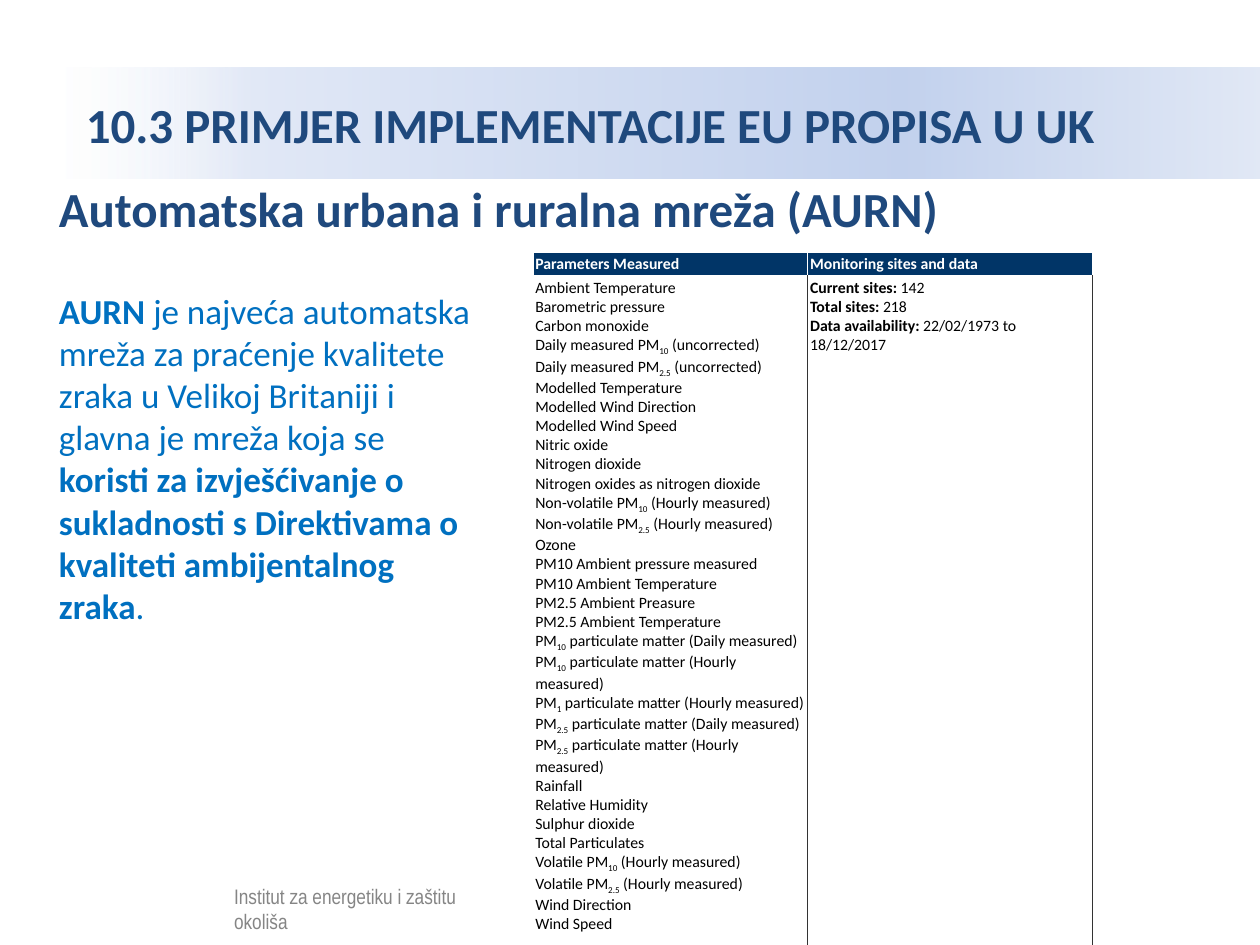
from lxml import etree
from pptx import Presentation
from pptx.dml.color import RGBColor
from pptx.enum.shapes import MSO_SHAPE as Shape
from pptx.enum.text import MSO_ANCHOR as Anchor, PP_ALIGN as Align
from pptx.oxml.ns import qn
from pptx.util import Cm, Pt

NAVY = RGBColor(0x1F, 0x49, 0x7D)
BLUE = RGBColor(0x00, 0x70, 0xC0)
HEADER = RGBColor(0x01, 0x35, 0x67)
BORDER = RGBColor(0x33, 0x33, 0x33)
BLACK = RGBColor(0, 0, 0)
WHITE = RGBColor(0xFF, 0xFF, 0xFF)
BAND_STOPS = [
    (0, WHITE, 52),
    (16, RGBColor(0xE1, 0xE8, 0xF6), 100),
    (70, RGBColor(0xC2, 0xD1, 0xED), 100),
    (100, RGBColor(0xE1, 0xE8, 0xF5), 100),
]

HEADING = {"name": "Calibri", "size": Pt(28), "bold": True, "color": NAVY}
BODY = {"name": "Calibri", "size": Pt(20), "bold": False, "color": BLUE}
FOOTER = {"name": "Arial Narrow", "size": Pt(12), "color": BLACK}
CELL = {"name": "Calibri", "size": Pt(9), "bold": False, "color": BLACK}
CELL_HEAD = {**CELL, "bold": True, "color": WHITE}

TITLE = ["10.3 PRIMJER IMPLEMENTACIJE EU PROPISA U UK"]
SUBTITLE = ["Automatska urbana i ruralna mreža (AURN)"]
INTRO = ["*AURN *je najveća automatska mreža za praćenje kvalitete zraka u Velikoj "
         "Britaniji i glavna je mreža koja se *koristi za izvješćivanje o sukladnosti "
         "s Direktivama o kvaliteti ambijentalnog zraka*."]
INSTITUTE = ["Institut za energetiku i zaštitu okoliša"]
HEADERS = ["Parameters Measured", "Monitoring sites and data"]
PARAMETERS = [
    "Ambient Temperature",
    "Barometric pressure",
    "Carbon monoxide",
    "Daily measured PM_10_ (uncorrected)",
    "Daily measured PM_2.5_ (uncorrected)",
    "Modelled Temperature",
    "Modelled Wind Direction",
    "Modelled Wind Speed",
    "Nitric oxide",
    "Nitrogen dioxide",
    "Nitrogen oxides as nitrogen dioxide",
    "Non-volatile PM_10_ (Hourly measured)",
    "Non-volatile PM_2.5_ (Hourly measured)",
    "Ozone",
    "PM10 Ambient pressure measured",
    "PM10 Ambient Temperature",
    "PM2.5 Ambient Preasure",
    "PM2.5 Ambient Temperature",
    "PM_10_ particulate matter (Daily measured)",
    "PM_10_ particulate matter (Hourly measured)",
    "PM_1_ particulate matter (Hourly measured)",
    "PM_2.5_ particulate matter (Daily measured)",
    "PM_2.5_ particulate matter (Hourly measured)",
    "Rainfall",
    "Relative Humidity",
    "Sulphur dioxide",
    "Total Particulates",
    "Volatile PM_10_ (Hourly measured)",
    "Volatile PM_2.5_ (Hourly measured)",
    "Wind Direction",
    "Wind Speed",
]
SITES = [
    "*Current sites:* 142",
    "*Total sites:* 218",
    "*Data availability:* 22/02/1973 to 18/12/2017",
]


def add_run(paragraph, text, style):
    """Append a run formatted from a dict of font values."""
    run = paragraph.add_run()
    run.text = text
    for key, value in style.items():
        if key == "color":
            run.font.color.rgb = value
        else:
            setattr(run.font, key, value)
    return run


def write_text(frame, lines, style):
    """Write lines in which *stars* mark bold and _underscores_ mark subscript."""
    paragraph = frame.paragraphs[0]
    paragraph.alignment = Align.LEFT
    for number, line in enumerate(lines):
        if number:
            paragraph.add_line_break()
        for strong, part in enumerate(line.split("*")):
            weight = {"bold": True} if strong % 2 else {}
            for lowered, piece in enumerate(part.split("_")):
                if piece:
                    run = add_run(paragraph, piece, {**style, **weight})
                    if lowered % 2:
                        run.font._element.set("baseline", "-25000")


def add_color(parent, color, opacity):
    """Append a colour with an opacity in percent."""
    element = etree.SubElement(parent, qn("a:srgbClr"), val=str(color))
    if opacity < 100:
        etree.SubElement(element, qn("a:alpha"), val=str(opacity * 1000))


def add_rectangle(shapes, box):
    """Add a rectangle without line or shadow."""
    shape = shapes.add_shape(Shape.RECTANGLE, *box)
    shape.shadow.inherit = False
    shape.line.fill.background()
    return shape


def add_text(shapes, box, lines, style):
    """Add a wrapping text box."""
    frame = shapes.add_textbox(*box).text_frame
    frame.word_wrap = True
    write_text(frame, lines, style)


def add_title_band(slide, box):
    """Add the gradient band that carries the slide title."""
    shape = add_rectangle(slide.shapes, box)
    shape.fill.gradient()
    shape.fill.gradient_angle = 0
    stops = shape._element.spPr.find(qn("a:gradFill")).find(qn("a:gsLst"))
    for stop in list(stops):
        stops.remove(stop)
    for position, color, opacity in BAND_STOPS:
        stop = etree.SubElement(stops, qn("a:gs"), pos=str(position * 1000))
        add_color(stop, color, opacity)
    frame = shape.text_frame
    frame.word_wrap = True
    frame.margin_left = Cm(0.46)
    frame.vertical_anchor = Anchor.MIDDLE
    write_text(frame, TITLE, HEADING)


def add_footer(slide, box):
    """Add the institute name under a translucent white veil."""
    left, top, width, height = box
    shapes = slide.shapes.add_group_shape().shapes
    text_box = (left + Cm(1.83), top + Cm(0.08), Cm(5.31), Cm(0.64))
    text_box = (left + Cm(3.43), *text_box[1:])
    add_text(shapes, text_box, INSTITUTE, FOOTER)
    veil = add_rectangle(shapes, (left, top, width, height))
    veil.fill.solid()
    veil.fill.fore_color.rgb = WHITE
    color = veil._element.spPr.find(qn("a:solidFill"))[0]
    etree.SubElement(color, qn("a:alpha"), val="52000")


def add_borders(cell, sides):
    """Draw thin borders on the given sides, ahead of the cell fill."""
    properties = cell._tc.get_or_add_tcPr()
    for index, side in enumerate(sides):
        line = etree.Element(qn(f"a:ln{side}"), w=str(Pt(0.75)))
        add_color(etree.SubElement(line, qn("a:solidFill")), BORDER, 100)
        properties.insert(index, line)


def fill_cell(cell, lines, style, fill, sides):
    """Fill one table cell with text, background and borders."""
    for side in ("left", "right", "top", "bottom"):
        setattr(cell, f"margin_{side}", Cm(0.05))
    cell.fill.solid()
    cell.fill.fore_color.rgb = fill
    write_text(cell.text_frame, lines, style)
    add_borders(cell, sides)


def add_network_table(slide, box):
    """Add the table of measured parameters and monitoring sites."""
    table = slide.shapes.add_table(2, 2, *box).table
    table.first_row = table.horz_banding = False
    for column, width in zip(table.columns, (Cm(5.54), Cm(5.74))):
        column.width = width
    table.rows[0].height = Cm(0.46)
    table.rows[1].height = box[3] - Cm(0.46)
    for index, header in enumerate(HEADERS):
        fill_cell(table.cell(0, index), [header], CELL_HEAD, HEADER, "")
    fill_cell(table.cell(1, 0), PARAMETERS, CELL, WHITE, "RB")
    fill_cell(table.cell(1, 1), SITES, CELL, WHITE, "LRB")


def main():
    """Build and save the slide."""
    presentation = Presentation()
    presentation.slide_width, presentation.slide_height = Cm(25.4), Cm(19.05)
    slide = presentation.slides.add_slide(presentation.slide_layouts[6])
    add_title_band(slide, (Cm(1.27), Cm(1.37), Cm(24.13), Cm(2.24)))
    add_footer(slide, (Cm(1.04), Cm(17.6), Cm(9.7), Cm(1.22)))
    add_text(slide.shapes, (Cm(0.94), Cm(5.72), Cm(9.02), Cm(7.34)), INTRO, BODY)
    add_text(slide.shapes, (Cm(0.94), Cm(3.48), Cm(20.7), Cm(1.45)), SUBTITLE, HEADING)
    add_network_table(slide, (Cm(10.74), Cm(5.08), Cm(11.28), Cm(14.05)))
    presentation.save("out.pptx")


if __name__ == "__main__":
    main()
